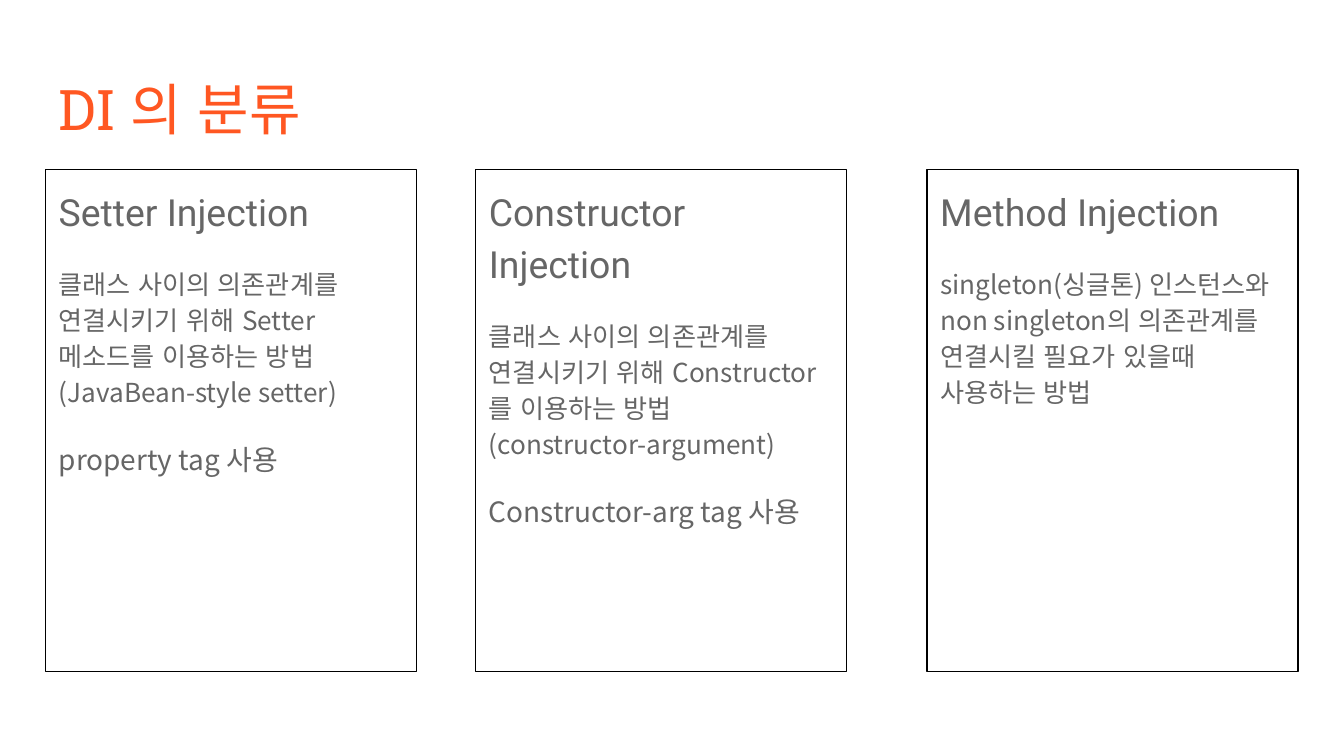
from lxml.etree import SubElement
from pptx import Presentation
from pptx.dml.color import RGBColor as Color
from pptx.enum.lang import MSO_LANGUAGE_ID as Language
from pptx.enum.shapes import MSO_SHAPE as Shape
from pptx.enum.text import MSO_ANCHOR as Anchor, PP_ALIGN as Align
from pptx.oxml.ns import qn
from pptx.util import Cm, Pt

# Content: (text, style) pairs
TITLE = [("DI ", "title_latin"), ("의 분류", "title_korean")]
CARDS = [
    [
        ("Setter Injection", "heading"),
        ("클래스 사이의 의존관계를 연결시키기 위해 Setter메소드를 이용하는 방법 "
         "(JavaBean-style setter)", "body"),
        ("property tag 사용", "tag"),
    ],
    [
        ("Constructor Injection", "heading"),
        ("클래스 사이의 의존관계를 연결시키기 위해 Constructor를 이용하는 방법 "
         "(constructor-argument)", "body"),
        ("Constructor-arg tag 사용", "tag"),
    ],
    [
        ("Method Injection", "heading"),
        ("singleton(싱글톤) 인스턴스와 non singleton의 의존관계를 연결시킬 필요가 "
         "있을때 사용하는 방법", "body"),
    ],
]

# Theme: colours, fonts and type sizes
ORANGE, GREY, BLACK = (Color.from_string(code) for code in ("FF5722", "666666", "000000"))
KOREAN_FONT = "Noto Sans CJK KR"
THEME = {
    "title_latin": {"name": "Roboto Slab", "size": Pt(30), "color": ORANGE},
    "title_korean": {"name": KOREAN_FONT, "size": Pt(30), "color": ORANGE},
    "heading": {"name": "Roboto", "size": Pt(20), "color": GREY},
    "body": {"name": KOREAN_FONT, "size": Pt(14), "color": GREY},
    "tag": {"name": KOREAN_FONT, "size": Pt(15), "color": GREY},
}

# Layout
MARGIN = Cm(0.86)
CONTENT_WIDTH = Cm(23.67)
TITLE_TOP, TITLE_HEIGHT = Cm(1.24), Cm(1.6)
CARD_LEFTS = [MARGIN, Cm(8.99), Cm(17.52)]
CARD_TOP, CARD_WIDTH, CARD_HEIGHT = Cm(3.2), Cm(7.01), Cm(9.5)
FRAME = {"word_wrap": True, "margin_left": Cm(0.25), "margin_right": Cm(0.25),
         "margin_top": Cm(0.25), "margin_bottom": Cm(0.25)}


def apply(target, values):
    for name, value in values.items():
        setattr(target, name, value)


def add_span(para, text, style):
    span = para.add_run()
    span.text = text
    look = THEME[style]
    apply(span.font, {"name": look["name"], "size": look["size"],
                      "language_id": Language.KOREAN})
    span.font.color.rgb = look["color"]
    # East Asian letters use the same font
    east_asian = SubElement(span.font._element, qn("a:ea"))
    east_asian.set("typeface", look["name"])


def add_title(page):
    box = page.shapes.add_textbox(MARGIN, TITLE_TOP, CONTENT_WIDTH, TITLE_HEIGHT)
    apply(box.text_frame, FRAME | {"vertical_anchor": Anchor.MIDDLE})
    for text, style in TITLE:
        add_span(box.text_frame.paragraphs[0], text, style)


def add_card(page, left, lines):
    box = page.shapes.add_shape(Shape.RECTANGLE, left, CARD_TOP, CARD_WIDTH, CARD_HEIGHT)
    box.shadow.inherit = False
    box.fill.background()
    box.line.color.rgb = BLACK
    box.line.width = Pt(0.75)
    frame = box.text_frame
    apply(frame, FRAME | {"vertical_anchor": Anchor.TOP})
    for index, (text, style) in enumerate(lines):
        para = frame.add_paragraph() if index else frame.paragraphs[0]
        apply(para, {"alignment": Align.LEFT, "line_spacing": 1.15,
                     "space_before": Pt(16 if index else 0),
                     "space_after": Pt(16 if index == len(lines) - 1 else 0)})
        add_span(para, text, style)


def main():
    deck = Presentation()
    apply(deck, {"slide_width": Cm(25.4), "slide_height": Cm(14.29)})
    page = deck.slides.add_slide(deck.slide_layouts[6])
    add_title(page)
    for left, lines in zip(CARD_LEFTS, CARDS):
        add_card(page, left, lines)
    deck.save("out.pptx")


if __name__ == "__main__":
    main()
